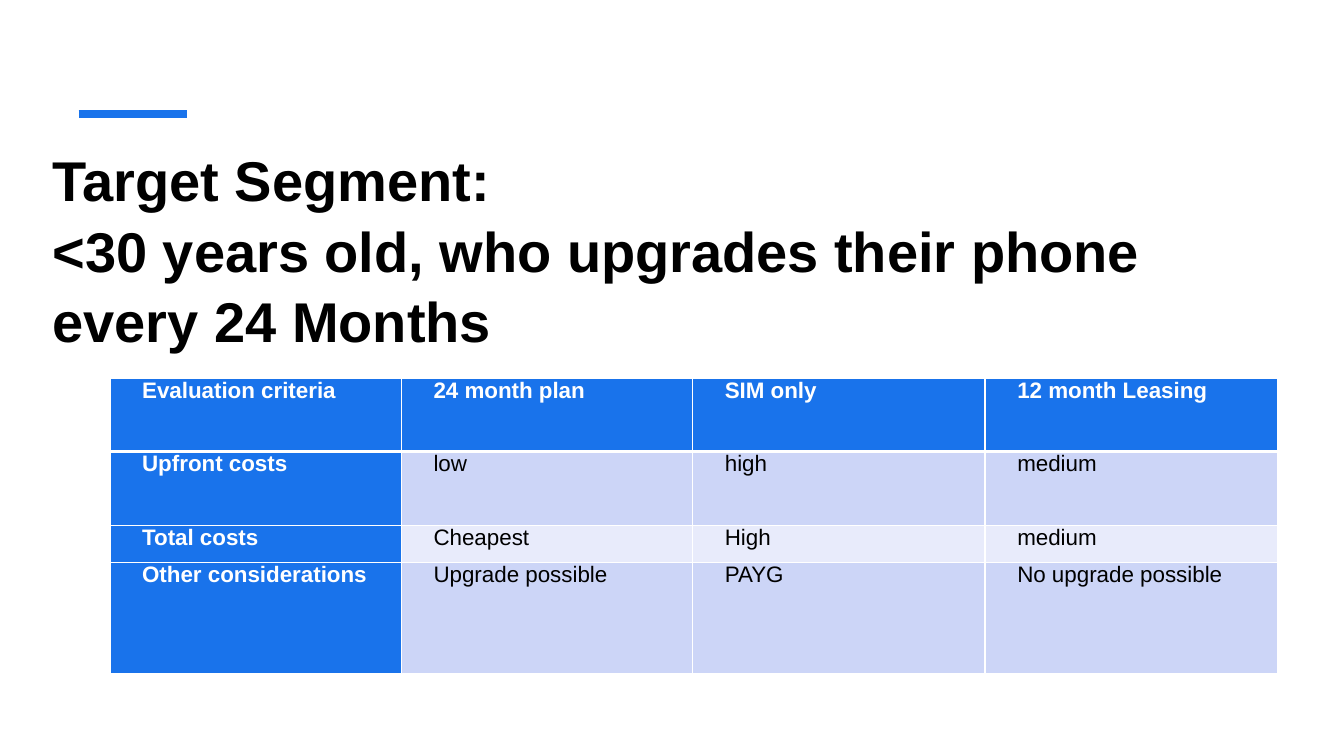
from dataclasses import dataclass

from lxml import etree
from pptx import Presentation
from pptx import util as u
from pptx.dml.color import RGBColor
from pptx.enum import text as t
from pptx.oxml import ns

PX = 9144  # 100 px to the inch
FONT = "Arial"
COLORS = {"blue": "1973EB", "white": "FFFFFF", "black": "000000",
          "band": "CCD5F7", "pale": "E8EBFB"}
WIDTHS = (289, 289, 290, 290)


@dataclass
class Row:
    height: int
    fill: str
    texts: tuple[str, ...]


ROWS = (
    Row(73, "blue", ("Evaluation criteria", "24 month plan", "SIM only", "12 month Leasing")),
    Row(73, "band", ("Upfront costs", "low", "high", "medium")),
    Row(37, "pale", ("Total costs", "Cheapest", "High", "medium")),
    Row(110, "band", ("Other considerations", "Upgrade possible", "PAYG", "No upgrade possible")),
)


def px(n: int) -> u.Emu:
    return u.Emu(n * PX)


def rgb(name: str) -> RGBColor:
    return RGBColor.from_string(COLORS[name])


def write(frame, words: str, *, size: int, color: str, bold: bool = False,
          after: int = 0, indent: int = 0, lead: float = 1.0) -> None:
    """Fill a text frame, one paragraph for each line of words."""
    frame.text = words
    for para in frame.paragraphs:
        para.alignment = t.PP_ALIGN.LEFT
        para.space_after = u.Pt(after)
        para.line_spacing = lead
        if indent:
            props = para._p.get_or_add_pPr()
            props.set("marL", "0")
            props.set("indent", str(px(indent)))
        for run in para.runs:
            font = run.font
            font.name, font.size, font.bold = FONT, u.Pt(size), bold
            font.color.rgb = rgb(color)


def edge(cell, base: int) -> None:
    """Draw white cell borders, with the bottom one base points wide."""
    props = cell._tc.get_or_add_tcPr()
    for i, side in enumerate("LRTB"):
        line = etree.Element(ns.qn(f"a:ln{side}"))
        line.set("w", str(u.Pt(base if side == "B" else 1)))
        fill = etree.SubElement(line, ns.qn("a:solidFill"))
        etree.SubElement(fill, ns.qn("a:srgbClr")).set("val", COLORS["white"])
        props.insert(i, line)


def add_bar(slide) -> None:
    bar = slide.shapes.add_connector(1, px(78), px(113), px(185), px(113))
    bar.line.color.rgb = rgb("blue")
    bar.line.width = u.Pt(6)
    etree.SubElement(bar._element.spPr, ns.qn("a:effectLst"))


def add_grid(slide) -> None:
    frame = slide.shapes.add_table(
        len(ROWS), len(WIDTHS), px(109), px(375),
        px(sum(WIDTHS)), px(sum(row.height for row in ROWS)))
    grid = frame.table
    grid.horz_banding = False
    for col, width in zip(grid.columns, WIDTHS):
        col.width = px(width)
    for r, row in enumerate(ROWS):
        grid.rows[r].height = px(row.height)
        for c, words in enumerate(row.texts):
            cell = grid.cell(r, c)
            head = r == 0 or c == 0
            cell.margin_left = cell.margin_right = px(7)
            cell.margin_top = cell.margin_bottom = 0
            cell.fill.solid()
            cell.fill.fore_color.rgb = rgb("blue" if head else row.fill)
            edge(cell, 3 if r == 0 else 1)
            write(cell.text_frame, words, size=16, bold=head,
                  color="white" if head else "black", after=15, indent=25)


def set_title(slide) -> None:
    title = slide.shapes.title
    title.left, title.top, title.width, title.height = map(px, (42, 140, 1250, 212))
    frame = title.text_frame
    frame.word_wrap = True
    frame.auto_size = t.MSO_AUTO_SIZE.SHAPE_TO_FIT_TEXT
    frame.vertical_anchor = t.MSO_ANCHOR.MIDDLE
    write(frame, "Target Segment:\n<30 years old, who upgrades their phone every 24 Months",
          size=40, color="black", bold=True, lead=1.05)


def main() -> None:
    deck = Presentation()
    deck.slide_width, deck.slide_height = px(1333), px(750)
    slide = deck.slides.add_slide(deck.slide_layouts[5])
    add_bar(slide)
    add_grid(slide)
    set_title(slide)
    deck.save("out.pptx")


if __name__ == "__main__":
    main()
